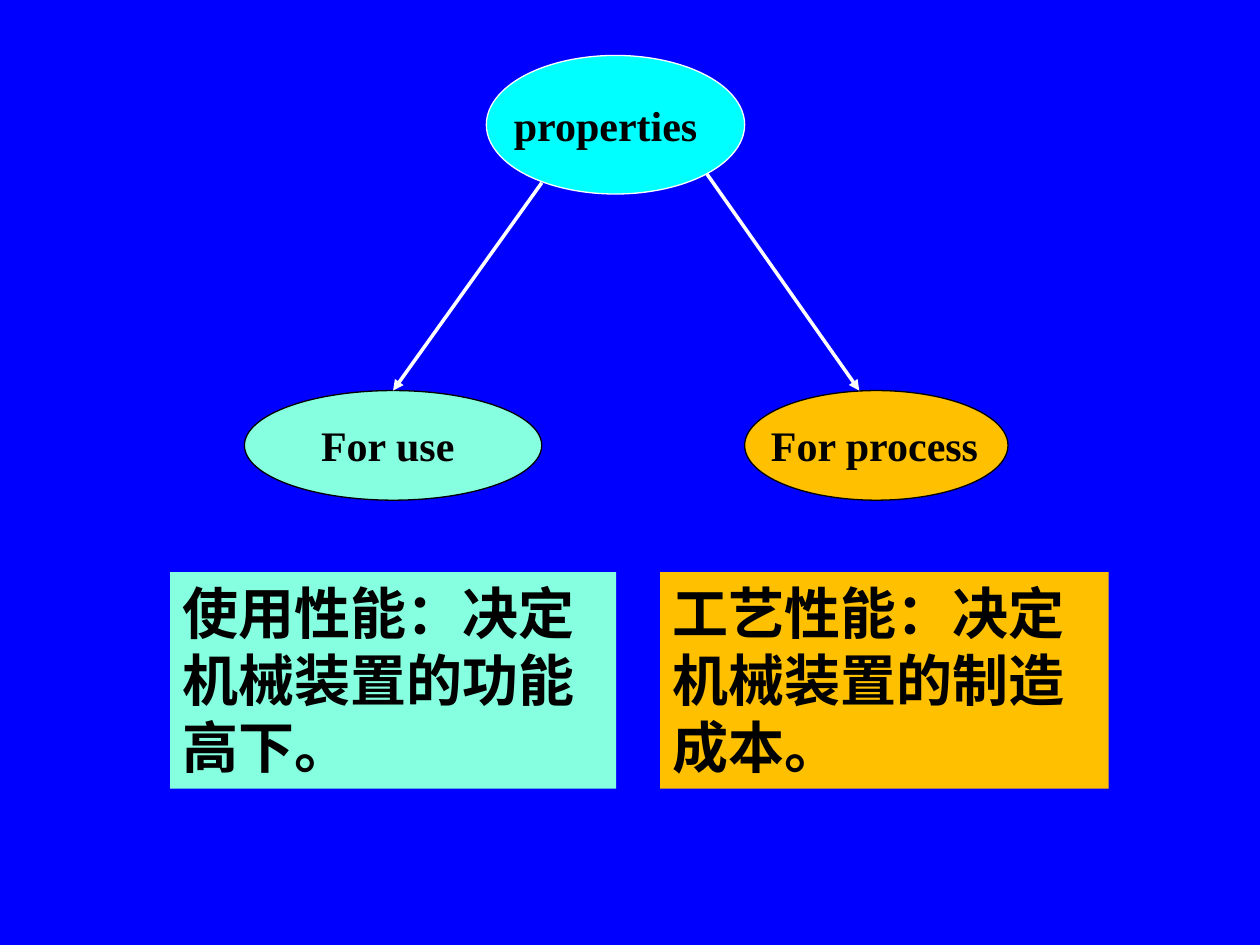
from dataclasses import dataclass
from typing import Any

import pptx
import pptx.dml.color
import pptx.enum.shapes
import pptx.enum.text
import pptx.oxml
import pptx.oxml.ns
import pptx.util

SLIDE_WIDTH = pptx.util.Inches(10)
SLIDE_HEIGHT = pptx.util.Inches(7.5)
COLUMNS, ROWS = 100, 75
BLUE, CYAN, MINT, AMBER = "0000FF", "00FFFF", "85FFE0", "FFC000"
WHITE, BLACK = "FFFFFF", "000000"
FONT = {"name": "Times New Roman", "bold": True}
ELLIPSE_ROW, CARD_ROW = 31, 45.4


@dataclass(frozen=True)
class Area:
    column: float
    row: float
    width: float
    height: float


@dataclass(frozen=True)
class Node:
    label: str
    ellipse: Area
    text_area: Area
    fill: str
    outline: str


@dataclass(frozen=True)
class Arrow:
    start: tuple[float, float]
    end: tuple[float, float]


@dataclass(frozen=True)
class Card:
    text: str
    area: Area
    fill: str


NODES = [
    Node("properties", Area(38.6, 4.4, 20.5, 11), Area(39.8, 7.4, 17.3, 5), CYAN, WHITE),
    Node("For use", Area(19.4, ELLIPSE_ROW, 23.6, 8.7), Area(24.5, 32.8, 13.4, 5), MINT, BLACK),
    Node("For process", Area(59.1, ELLIPSE_ROW, 20.9, 8.7), Area(60.2, 32.8, 18.6, 5), AMBER, BLACK),
]
ARROWS = [
    Arrow((43, 14.5), (31.2, ELLIPSE_ROW)),
    Arrow((56.1, 13.8), (68.2, ELLIPSE_ROW)),
]
CARDS = [
    Card("使用性能：决定机械装置的功能高下。", Area(13.5, CARD_ROW, 35.4, 17.2), MINT),
    Card("工艺性能：决定机械装置的制造成本。", Area(52.4, CARD_ROW, 35.6, 17.2), AMBER),
]


def across(columns: float) -> int:
    return round(SLIDE_WIDTH * columns / COLUMNS)


def down(rows: float) -> int:
    return round(SLIDE_HEIGHT * rows / ROWS)


def place(area: Area) -> tuple[int, int, int, int]:
    return across(area.column), down(area.row), across(area.width), down(area.height)


def color(value: str) -> pptx.dml.color.RGBColor:
    return pptx.dml.color.RGBColor.from_string(value)


def paint(fill: Any, value: str) -> None:
    fill.solid()
    fill.fore_color.rgb = color(value)


def assign(target: Any, values: dict[str, Any]) -> None:
    for name, value in values.items():
        setattr(target, name, value)


def write(shape: Any, text: str, size: float) -> None:
    frame = shape.text_frame
    assign(frame, {
        "text": text,
        "word_wrap": True,
        "auto_size": pptx.enum.text.MSO_AUTO_SIZE.SHAPE_TO_FIT_TEXT,
        "vertical_anchor": pptx.enum.text.MSO_ANCHOR.TOP,
    })
    paragraph = frame.paragraphs[0]
    paragraph.alignment = pptx.enum.text.PP_ALIGN.LEFT
    font = paragraph.runs[0].font
    assign(font, FONT | {"size": pptx.util.Pt(size)})
    font.color.rgb = color(BLACK)


def add_filled_shape(slide: Any, kind: Any, area: Area, fill: str) -> Any:
    shape = slide.shapes.add_shape(kind, *place(area))
    shape.shadow.inherit = False
    paint(shape.fill, fill)
    return shape


def draw_node(slide: Any, node: Node) -> None:
    ellipse = add_filled_shape(slide, pptx.enum.shapes.MSO_SHAPE.OVAL, node.ellipse, node.fill)
    paint(ellipse.line.fill, node.outline)
    ellipse.line.width = pptx.util.Pt(0.75)
    write(slide.shapes.add_textbox(*place(node.text_area)), node.label, 24)


def draw_arrow(slide: Any, arrow: Arrow) -> None:
    connector = slide.shapes.add_connector(
        pptx.enum.shapes.MSO_CONNECTOR.STRAIGHT,
        across(arrow.start[0]), down(arrow.start[1]),
        across(arrow.end[0]), down(arrow.end[1]),
    )
    paint(connector.line.fill, WHITE)
    connector.line.width = pptx.util.Pt(2)
    namespace = pptx.oxml.ns.nsdecls("a")
    properties = connector.element.spPr
    properties.find(pptx.oxml.ns.qn("a:ln")).append(
        pptx.oxml.parse_xml(f'<a:tailEnd {namespace} type="triangle"/>')
    )
    properties.append(pptx.oxml.parse_xml(f"<a:effectLst {namespace}/>"))


def draw_card(slide: Any, card: Card) -> None:
    rectangle = add_filled_shape(slide, pptx.enum.shapes.MSO_SHAPE.RECTANGLE, card.area, card.fill)
    rectangle.line.fill.background()
    write(rectangle, card.text, 32)


def main() -> None:
    presentation = pptx.Presentation()
    assign(presentation, {"slide_width": SLIDE_WIDTH, "slide_height": SLIDE_HEIGHT})
    slide = presentation.slides.add_slide(presentation.slide_layouts[6])
    paint(slide.background.fill, BLUE)
    for node in NODES:
        draw_node(slide, node)
    for arrow in ARROWS:
        draw_arrow(slide, arrow)
    for card in CARDS:
        draw_card(slide, card)
    presentation.save("out.pptx")


if __name__ == "__main__":
    main()
